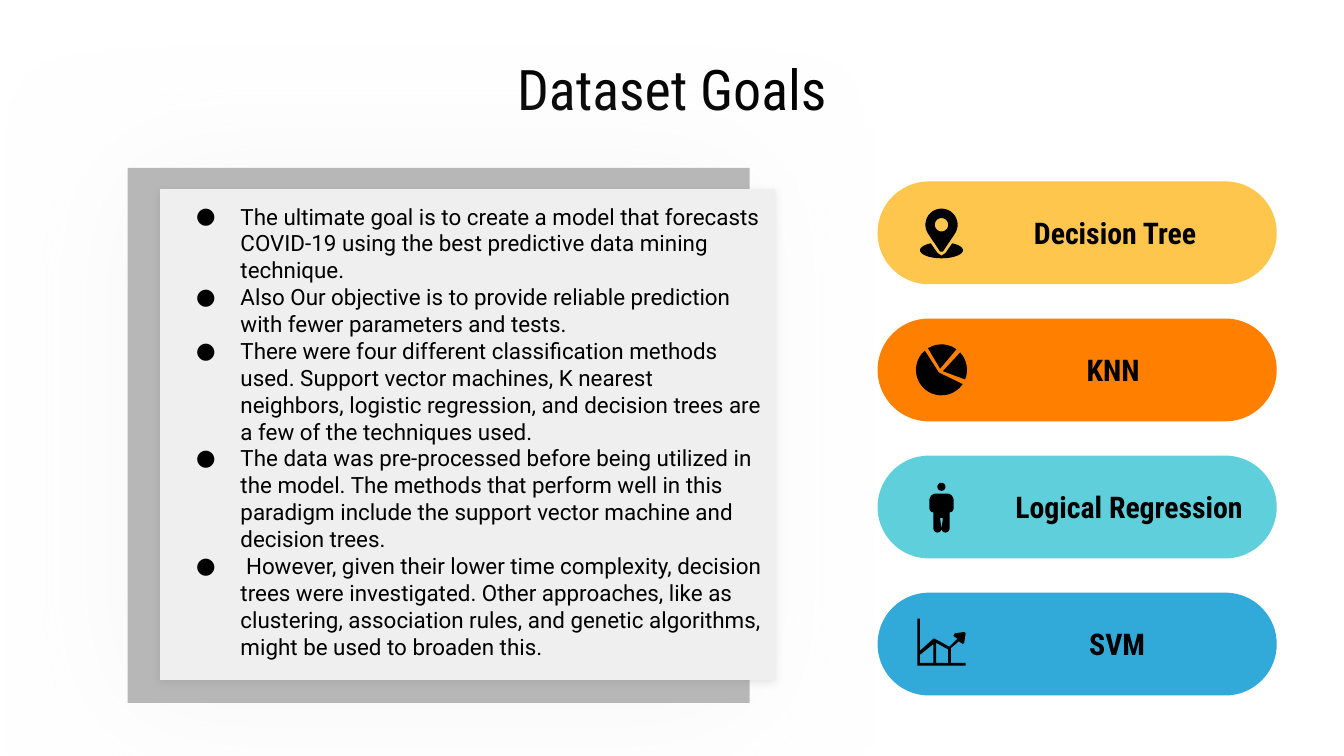
import math

import lxml.etree
import pptx
import pptx.dml.color
import pptx.enum.shapes
import pptx.enum.text
import pptx.oxml.ns
import pptx.util

WIDTH = 10
HEIGHT = WIDTH * 9 / 16
SHAPES = pptx.enum.shapes.MSO_SHAPE
ANCHOR = pptx.enum.text.MSO_ANCHOR
ALIGN = pptx.enum.text.PP_ALIGN

GOALS = [
    "The ultimate goal is to create a model that forecasts COVID-19 using the best "
    "predictive data mining technique.",
    "Also Our objective is to provide reliable prediction with fewer parameters and tests.",
    "There were four different classification methods used. Support vector machines, "
    "K nearest neighbors, logistic regression, and decision trees are a few of the "
    "techniques used.",
    "The data was pre-processed before being utilized in the model. The methods that "
    "perform well in this paradigm include the support vector machine and decision trees.",
    " However, given their lower time complexity, decision trees were investigated. Other "
    "approaches, like as clustering, association rules, and genetic algorithms, might be "
    "used to broaden this.",
]


def color(hex_code):
    """Turn a hex string into a colour."""
    return pptx.dml.color.RGBColor.from_string(hex_code)


def inches(*lengths):
    """Turn inch lengths into slide units."""
    return [pptx.util.Inches(length) for length in lengths]


def region(left, top, width, height):
    """Turn percentages of the slide into a box in inches."""
    return (left * WIDTH / 100, top * HEIGHT / 100, width * WIDTH / 100, height * HEIGHT / 100)


def paint(shape, fill):
    """Give a shape a plain fill without line or shadow."""
    shape.fill.solid()
    shape.fill.fore_color.rgb = color(fill)
    shape.line.fill.background()
    shape.shadow.inherit = False
    return shape


def cast_shadow(shape, tint, opacity, blur, distance=1.5):
    """Let a shape cast a soft shadow downwards."""
    qn = pptx.oxml.ns.qn
    effects = shape._element.spPr.find(qn("a:effectLst"))
    shadow = lxml.etree.SubElement(
        effects, qn("a:outerShdw"), blurRad=str(pptx.util.Pt(blur)),
        dist=str(pptx.util.Pt(distance)), dir="5400000", algn="bl", rotWithShape="0")
    tone = lxml.etree.SubElement(shadow, qn("a:srgbClr"), val=tint)
    lxml.etree.SubElement(tone, qn("a:alpha"), val=str(opacity * 1000))


def add_bullet(paragraph, size, font, indent=0.5, hanging=0.33):
    """Hang a round bullet before a paragraph."""
    qn = pptx.oxml.ns.qn
    properties = paragraph._p.get_or_add_pPr()
    properties.set("marL", str(pptx.util.Inches(indent)))
    properties.set("indent", str(-pptx.util.Inches(hanging)))
    tone = lxml.etree.SubElement(properties, qn("a:buClr"))
    lxml.etree.SubElement(tone, qn("a:srgbClr"), val="000000")
    lxml.etree.SubElement(properties, qn("a:buSzPts"), val=str(size * 100))
    lxml.etree.SubElement(properties, qn("a:buFont"), typeface=font)
    lxml.etree.SubElement(properties, qn("a:buChar"), char="●")


def write(shape, *lines, size, font, bold=False, align=ALIGN.LEFT, anchor=ANCHOR.MIDDLE,
          margin=0.1, bullets=False):
    """Write paragraphs into a shape with one format."""
    frame = shape.text_frame
    frame.word_wrap = True
    frame.vertical_anchor = anchor
    frame.margin_left = frame.margin_right = pptx.util.Inches(0.1)
    frame.margin_top = frame.margin_bottom = pptx.util.Inches(margin)
    for index, line in enumerate(lines):
        paragraph = frame.paragraphs[0] if index == 0 else frame.add_paragraph()
        paragraph.alignment = align
        if bullets:
            add_bullet(paragraph, size, font)
        run = paragraph.add_run()
        run.text = line
        run.font.size = pptx.util.Pt(size)
        run.font.name = font
        run.font.bold = bold
        run.font.color.rgb = color("000000")


def arc(x, y, radius_x, radius_y, start, end):
    """List points along an elliptic arc, angles in degrees clockwise from the right."""
    steps = max(6, round(abs(end - start) / 10))
    angles = [math.radians(start + (end - start) * step / steps) for step in range(steps + 1)]
    return [(x + radius_x * math.cos(a), y + radius_y * math.sin(a)) for a in angles]


def draw_outline(slide, center, *contours):
    """Draw one black outline, holes included, around a centre."""
    placed = [[inches(center[0] + x, center[1] + y) for x, y in contour]
              for contour in contours]
    builder = slide.shapes.build_freeform(*placed[0][0], scale=1.0)
    builder.add_line_segments(placed[0][1:], close=True)
    for hole in placed[1:]:
        builder.move_to(*hole[0])
        builder.add_line_segments(hole[1:], close=True)
    paint(builder.convert_to_shape(), "000000")


def draw_pin(slide, center):
    """Draw a map pin on its base."""
    draw_outline(slide, center, arc(0, -0.06, 0.12, 0.12, 145, 395) + [(0.01, 0.14), (-0.01, 0.14)],
                 arc(0, -0.06, 0.05, 0.05, 360, 0))
    draw_outline(slide, center, arc(0, 0.13, 0.16, 0.06, 240, -60)
                 + [(0.03, 0.15), (0, 0.17), (-0.03, 0.15)])


def draw_pie(slide, center):
    """Draw a pie of three separate wedges."""
    for start, end, apex in [(229, 34, (-0.02, 0.02)), (238, 306, (-0.01, -0.01)),
                             (317, 382, (0.01, 0.01))]:
        draw_outline(slide, center, arc(0, 0, 0.19, 0.19, start, end) + [apex])


def draw_person(slide, center):
    """Draw a standing person."""
    draw_outline(slide, center, arc(0, -0.15, 0.03, 0.03, 0, 360))
    body = [(-0.04, -0.05, 0.05, 180, 270), (0.04, -0.05, 0.05, 270, 360),
            (0.06, 0.01, 0.03, 0, 90), (0.03, 0.16, 0.03, 0, 180),
            (0, 0.09, 0.01, 0, -180), (-0.03, 0.16, 0.03, 0, 180),
            (-0.06, 0.01, 0.03, 90, 180)]
    draw_outline(slide, center, [point for x, y, radius, start, end in body
                                 for point in arc(x, y, radius, radius, start, end)])


def draw_trend(slide, center):
    """Draw a rising trend arrow over two axes."""
    draw_outline(
        slide, center,
        [(-0.18, -0.19), (-0.16, -0.19), (-0.16, 0.05), (-0.06, -0.04), (-0.05, -0.04),
         (0.06, 0.02), (0.12, -0.04), (0.09, -0.06), (0.1, -0.08), (0.17, -0.09),
         (0.18, -0.08), (0.17, -0.01), (0.16, 0), (0.13, -0.02), (0.07, 0.03),
         (0.07, 0.14), (0.18, 0.14), (0.18, 0.16), (-0.18, 0.16)],
        [(-0.06, 0), (-0.16, 0.08), (-0.16, 0.14), (-0.06, 0.14)],
        [(-0.04, -0.01), (-0.04, 0.14), (0.05, 0.14), (0.05, 0.04)])


def place_title(slide, box):
    """Write the slide title."""
    write(slide.shapes.add_textbox(*inches(*box)), "Dataset Goals",
          size=30, font="Roboto Condensed", align=ALIGN.CENTER)


def place_goals(slide, box):
    """Place the goals sheet over its grey backing."""
    left, top, width, height = box
    backing = paint(slide.shapes.add_shape(
        SHAPES.RECTANGLE, *inches(left, top, 0.96 * width, height)), "B7B7B7")
    cast_shadow(backing, "EEEEEE", 50, 69.8)
    sheet = paint(slide.shapes.add_shape(SHAPES.RECTANGLE, *inches(
        left + 0.05 * width, top + 0.04 * height, 0.95 * width, height * 11 / 12)), "EFEFEF")
    cast_shadow(sheet, "595959", 15, 4.5)
    write(sheet, *GOALS, size=12, font="Roboto", anchor=ANCHOR.TOP, bullets=True)


def place_method(slide, box, name, fill, draw_icon, label_left, label_width):
    """Place one method pill with its icon and name."""
    left, top, width, height = box
    pill = paint(slide.shapes.add_shape(SHAPES.ROUNDED_RECTANGLE, *inches(*box)), fill)
    pill.adjustments[0] = 0.5
    draw_icon(slide, (left + 0.16 * width, top + height / 2))
    label = slide.shapes.add_textbox(*inches(
        left + label_left * width, top + 0.25 * height, label_width * width, 0.5 * height))
    write(label, name, size=16, font="Roboto Condensed", bold=True,
          align=ALIGN.CENTER, margin=0.05)


def place_methods(slide, box):
    """Stack the method pills at an equal pitch."""
    left, top, width, height = box
    methods = [("Decision Tree", "FFC64E", draw_pin, 0.22, 0.75),
               ("KNN", "FF8001", draw_pie, 0.23, 0.72),
               ("Logical Regression", "5FD0DB", draw_person, 0.27, 0.72),
               ("SVM", "32AAD9", draw_trend, 0.25, 0.7)]
    pill_height = 0.2 * height
    pitch = (height - pill_height) / (len(methods) - 1)
    for row, method in enumerate(methods):
        place_method(slide, (left, top + row * pitch, width, pill_height), *method)


def main():
    """Build the slide and save it."""
    deck = pptx.Presentation()
    deck.slide_width, deck.slide_height = inches(WIDTH, HEIGHT)
    slide = deck.slides.add_slide(deck.slide_layouts[6])
    place_title(slide, region(5, 6.9, 90, 9.4))
    place_goals(slide, region(9.5, 22.2, 48.2, 70.8))
    place_methods(slide, region(65.3, 24, 29.7, 68))
    deck.save("out.pptx")


if __name__ == "__main__":
    main()
